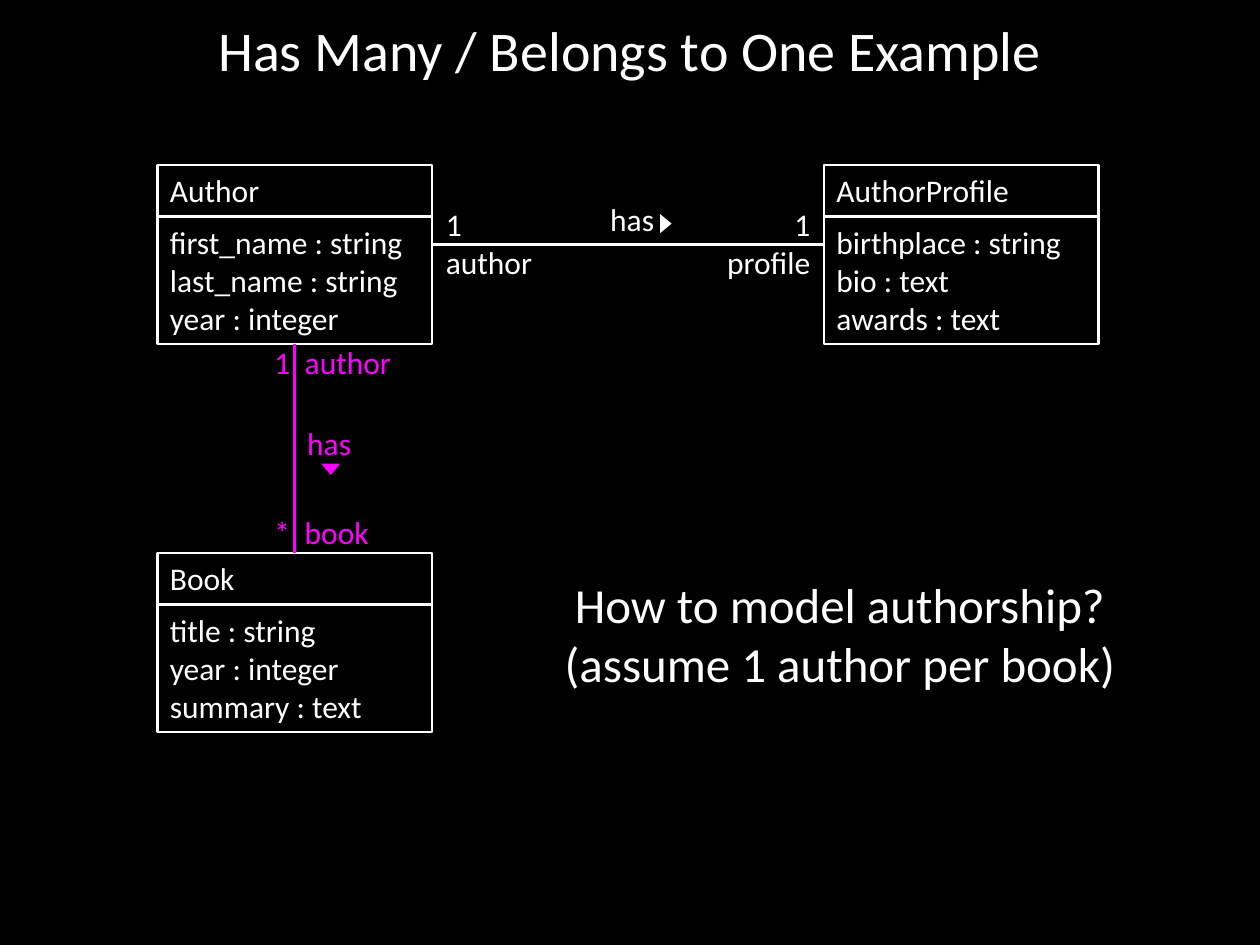
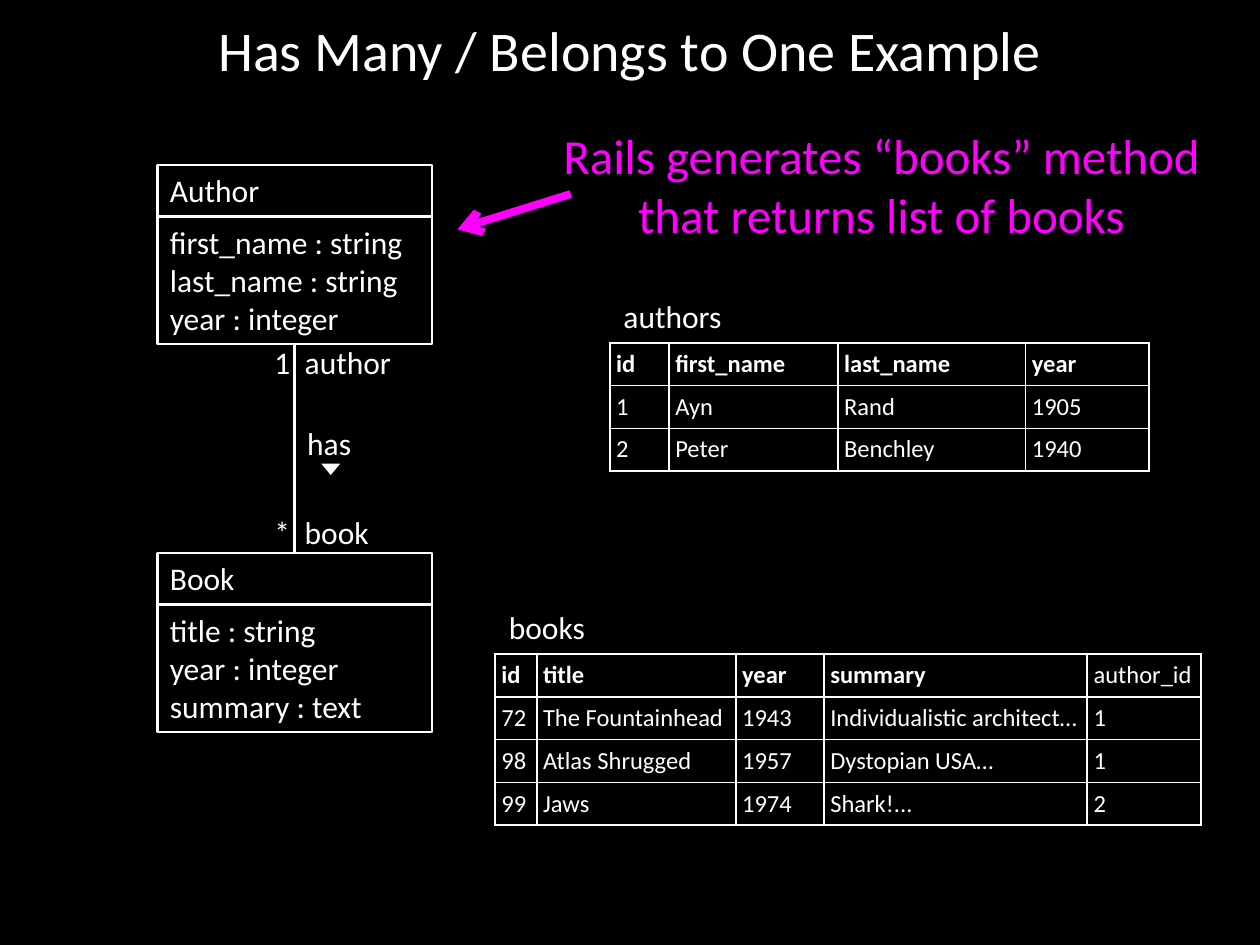
"""Build two slides on a has-many / belongs-to-one data model."""
from lxml import etree
from pptx import Presentation
from pptx.dml.color import RGBColor
from pptx.enum.shapes import MSO_CONNECTOR as CONN, MSO_SHAPE as SHAPE
from pptx.enum.text import MSO_ANCHOR as ANCHOR, PP_ALIGN as ALIGN
from pptx.oxml.ns import qn
from pptx.util import Inches, Pt

BLACK = RGBColor(0, 0, 0)
WHITE = RGBColor(255, 255, 255)
MAGENTA = RGBColor(255, 0, 255)
FONT = "Calibri"

TITLE = "Has Many / Belongs to One Example"
AUTHOR = ("Author", ["first_name : string", "last_name : string", "year : integer"])
PROFILE = ("AuthorProfile", ["birthplace : string", "bio : text", "awards : text"])
BOOK = ("Book", ["title : string", "year : integer", "summary : text"])
QUESTION = "How to model authorship?\n(assume 1 author per book)"
ANSWER = "Rails generates “books” method that returns list of books"

AUTHORS = [
    ("id", "first_name", "last_name", "year"),
    ("1", "Ayn", "Rand", "1905"),
    ("2", "Peter", "Benchley", "1940"),
]
BOOKS = [
    ("id", "title", "year", "summary", "author_id"),
    ("72", "The Fountainhead", "1943", "Individualistic architect…", "1"),
    ("98", "Atlas Shrugged", "1957", "Dystopian USA…", "1"),
    ("99", "Jaws", "1974", "Shark!...", "2"),
]
PLAIN_HEADERS = {"author_id"}

LEFT_X, RIGHT_X = 1.25, 6.54
TOP_Y, BOOK_Y = 1.31, 4.39
CLASS_W, NAME_H, FIELDS_H = 2.18, 0.41, 1.01
ROW_H = 0.34
LABEL_TAB = 0.24


def add_sub(parent, tag, **attrs):
    return etree.SubElement(parent, qn(tag), attrs)


def write(tf, lines, size=18, color=WHITE, align=ALIGN.LEFT, bold=False, tab=None):
    for i, line in enumerate(lines):
        p = tf.paragraphs[0] if i == 0 else tf.add_paragraph()
        p.text = line
        p.alignment = align
        if tab:
            tabs = add_sub(p._p.get_or_add_pPr(), "a:tabLst")
            add_sub(tabs, "a:tab", pos=str(Inches(tab)), algn="l")
        p.font.name, p.font.size, p.font.bold = FONT, Pt(size), bold
        p.font.color.rgb = color


def add_text(s, box, lines, wrap=True, anchor=ANCHOR.TOP, **style):
    tf = s.shapes.add_textbox(*map(Inches, box)).text_frame
    tf.word_wrap = wrap
    tf.vertical_anchor = anchor
    write(tf, lines, **style)


def add_box(s, x, y, h, lines):
    sp = s.shapes.add_shape(SHAPE.RECTANGLE, *map(Inches, (x, y, CLASS_W, h)))
    sp.shadow.inherit = False
    sp.fill.background()
    sp.line.color.rgb, sp.line.width = WHITE, Pt(1.5)
    sp.text_frame.word_wrap = True
    sp.text_frame.vertical_anchor = ANCHOR.TOP
    write(sp.text_frame, lines)
    return sp


def add_class(s, x, y, model):
    name, fields = model
    body = add_box(s, x, y + NAME_H, FIELDS_H, fields)
    return add_box(s, x, y, NAME_H, [name]), body


def add_line(s, start, end, color=WHITE, width=1.5):
    ln = s.shapes.add_connector(CONN.STRAIGHT, *map(Inches, start + end))
    ln.line.color.rgb, ln.line.width = color, Pt(width)
    add_sub(ln._element.spPr, "a:effectLst")
    return ln


def add_direction(s, x, y, rotation, color=WHITE):
    sp = s.shapes.add_shape(SHAPE.ISOSCELES_TRIANGLE, *map(Inches, (x, y, 0.15, 0.09)))
    sp.shadow.inherit = False
    sp.rotation = rotation
    sp.fill.solid()
    sp.fill.fore_color.rgb = color
    sp.line.fill.background()


def add_authorship(s, author_body, book_name, color):
    x = LEFT_X + CLASS_W / 2
    ln = add_line(s, (x, TOP_Y + NAME_H + FIELDS_H), (x, BOOK_Y), color)
    ln.begin_connect(author_body, 2)
    ln.end_connect(book_name, 0)
    add_text(s, (2.34, 3.32, 0.8, 0.4), ["has"], color=color)
    add_direction(s, 2.55, 3.68, 180, color)
    for y, label in ((2.67, "1\tauthor"), (4.02, "*\tbook")):
        add_text(s, (2.08, y, 1.2, 0.4), [label], color=color, tab=LABEL_TAB)


def add_profile_link(s):
    y = 1.94
    add_line(s, (LEFT_X + CLASS_W, y), (RIGHT_X, y))
    add_text(s, (4.49, 1.54, 0.8, 0.4), ["has"], align=ALIGN.RIGHT)
    add_direction(s, 5.21, 1.73, 90)
    add_text(s, (3.44, 1.58, 1.1, 0.7), ["1", "author"])
    add_text(s, (5.43, 1.58, 1.1, 0.7), ["1", "profile"], align=ALIGN.RIGHT)


def style_cell(cell, text, bold):
    cell.margin_left = cell.margin_right = Inches(0.05)
    cell.margin_top = cell.margin_bottom = Inches(0.05)
    write(cell.text_frame, [text], size=14, bold=bold)
    tcPr = cell._tc.get_or_add_tcPr()
    for side in "LRTB":
        edge = add_sub(tcPr, f"a:ln{side}", w=str(Pt(1.08)))
        add_sub(add_sub(edge, "a:solidFill"), "a:srgbClr", val=str(WHITE))
    cell.fill.solid()
    cell.fill.fore_color.rgb = BLACK


def add_records(s, x, y, name, rows, widths):
    size = (sum(widths), ROW_H * len(rows))
    table = s.shapes.add_table(len(rows), len(widths), *map(Inches, (x, y) + size)).table
    for col, width in zip(table.columns, widths):
        col.width = Inches(width)
    for r, row in enumerate(rows):
        table.rows[r].height = Inches(ROW_H)
        for c, text in enumerate(row):
            style_cell(table.cell(r, c), text, r == 0 and text not in PLAIN_HEADERS)
    add_text(s, (x + 0.01, y - 0.41, 1.2, 0.4), [name])


def add_model_slide(prs, link_color):
    s = prs.slides.add_slide(prs.slide_layouts[6])
    s.background.fill.solid()
    s.background.fill.fore_color.rgb = BLACK
    add_text(s, (0.5, 0, 9, 0.78), [TITLE], anchor=ANCHOR.MIDDLE,
             size=32, align=ALIGN.CENTER)
    _, author_body = add_class(s, LEFT_X, TOP_Y, AUTHOR)
    book_name, _ = add_class(s, LEFT_X, BOOK_Y, BOOK)
    add_authorship(s, author_body, book_name, link_color)
    return s


def main():
    prs = Presentation()
    prs.slide_width, prs.slide_height = Inches(10), Inches(7.5)

    s = add_model_slide(prs, MAGENTA)
    add_class(s, RIGHT_X, TOP_Y, PROFILE)
    add_profile_link(s)
    add_text(s, (4.38, 4.51, 4.57, 1.04), [QUESTION], wrap=False,
             size=28, align=ALIGN.CENTER)

    s = add_model_slide(prs, WHITE)
    add_records(s, 4.84, 2.72, "authors", AUTHORS, (0.47, 1.34, 1.49, 0.98))
    add_records(s, 3.93, 5.19, "books", BOOKS, (0.33, 1.58, 0.7, 2.09, 0.9))
    add_text(s, (4.32, 0.95, 5.35, 1.04), [ANSWER], size=28,
             color=MAGENTA, align=ALIGN.CENTER)
    arrow = add_line(s, (4.53, 1.54), (3.63, 1.82), MAGENTA, 4.5)
    add_sub(arrow.line._get_or_add_ln(), "a:tailEnd", type="arrow")

    prs.save("out.pptx")


if __name__ == "__main__":
    main()
